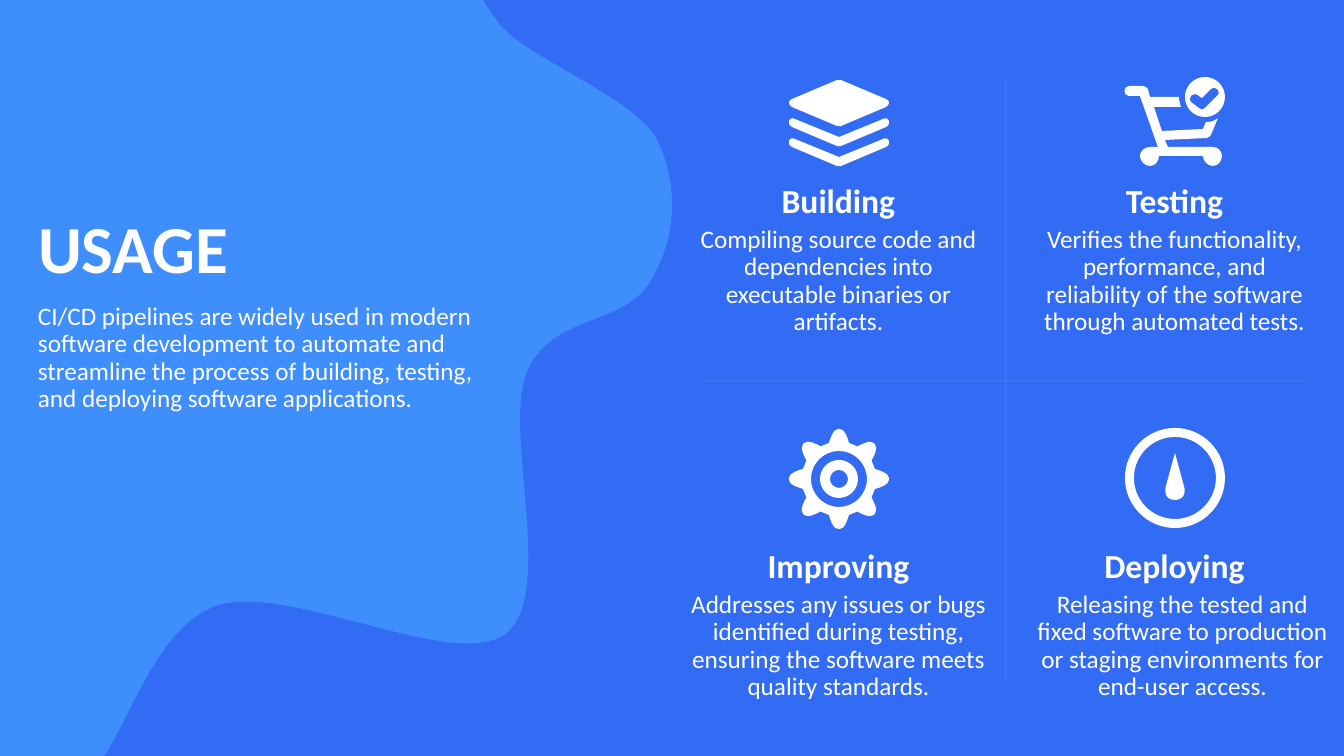
from dataclasses import dataclass
from math import cos, pi, sin

from lxml import etree
from pptx import Presentation
from pptx import util as u
from pptx.dml.color import RGBColor
from pptx.enum import shapes, text
from pptx.oxml.ns import qn


@dataclass(frozen=True)
class Theme:
    back: RGBColor = RGBColor(0x32, 0x6C, 0xF4)
    wave: RGBColor = RGBColor(0x3E, 0x8E, 0xFD)
    ink: RGBColor = RGBColor(0xFF, 0xFF, 0xFF)
    font: str = "Calibri"
    title: int = 48
    head: int = 24
    body: int = 18
    rule: float = 0.5
    alpha: int = 16  # percent


THEME = Theme()
PX = 914400 / 100.8
WIDE, HIGH = 1344, 756

TITLE = ("USAGE", (28, 117, 407, 270))
INTRO = ("CI/CD pipelines are widely used in modern software development to "
         "automate and streamline the process of building, testing, and "
         "deploying software applications.", (28, 299, 462, 169))

# heading, text, column, row, left and width of the text
STEPS = [
    ("Building", "Compiling source code and dependencies into executable "
     "binaries or artifacts.", 0, 0, 687, 303),
    ("Testing", "Verifies the functionality, performance, and reliability of "
     "the software through automated tests.", 1, 0, 1023, 303),
    ("Improving", "Addresses any issues or bugs identified during testing, "
     "ensuring the software meets quality standards.", 0, 1, 679, 319),
    ("Deploying", "Releasing the tested and fixed software to production or "
     "staging environments for end-user access.", 1, 1, 1023, 319),
]
COLS, ROWS = (690, 1026), (180, 545)
HEAD_W, HEAD_H, TEXT_H, DROP = 297, 45, 124, 42
RULES = [(704, 381, 1308, 381), (1006, 79, 1006, 683)]

WAVE = ("L 483 0 L 0 0 L 0 756 L 104 756 L 108 750 C 136 703 162 625 216 606 "
        "C 286 581 454 672 505 634 C 557 595 502 430 527 372 "
        "C 551 313 625 327 651 280 C 678 235 678 183 657 140 "
        "C 635 98 531 60 501 26 C 494 17 488 8 483 0")
SHEET = ("L 886 107 L 841 126 L 837 126 L 792 107 "
         "C 788 105 788 100 792 99 L 837 80 L 841 80 L 886 99 "
         "C 890 100 890 105 886 107")
FOLD = ("L 886 127 L 841 146 L 837 146 L 792 127 "
        "C 786 124 789 116 795 119 L 839 137 L 883 119 "
        "C 889 116 892 124 886 127")
FOLD_GAP = 20
CART = ("L 1162 131 L 1203 129 L 1206 122 C 1211 122 1215 121 1218 118 "
        "L 1211 135 C 1210 136 1208 138 1207 138 L 1165 140 L 1168 147 "
        "L 1213 147 C 1218 147 1222 151 1222 156 C 1222 161 1218 166 1213 166 "
        "C 1208 166 1203 161 1203 156 L 1159 156 C 1159 161 1155 166 1150 166 "
        "C 1145 166 1140 161 1140 156 C 1140 151 1145 147 1150 147 L 1158 147 "
        "L 1140 96 L 1129 96 C 1123 96 1123 86 1129 86 L 1143 86 "
        "C 1145 86 1147 88 1148 89 L 1150 97 L 1179 97 "
        "C 1179 100 1180 104 1181 107 L 1154 107")
CHECK = ("L 1211 89 L 1202 98 L 1199 96 C 1194 91 1187 97 1191 102 "
         "L 1199 108 C 1201 110 1203 110 1205 108 L 1217 96 "
         "C 1222 92 1216 85 1211 89")
BADGE = (1205, 97)
TOOTH = "L -10 -36 C -9 -39 -6 -50 -1 -50 L 1 -50 C 6 -50 9 -40 10 -36"
GEAR, TEETH = (839, 479), 8
ARC = "C 1 0.55 0.55 1 0 1"
DROPLET = ("L 1175 500 C 1162 500 1166 486 1166 486 L 1175 453 L 1184 486 "
           "C 1188 500 1175 500 1175 500")
DIAL = (1175, 478)


def trace(path, down=0):
    """Split a path into steps of one point (line) or three (curve)."""
    steps = []
    for step in path.replace("L", "|").replace("C", "|").split("|")[1:]:
        nums = [float(n) for n in step.split()]
        steps.append([(x, y + down) for x, y in zip(nums[::2], nums[1::2])])
    return steps


def spin(path, mid, count, size=1):
    """Repeat a path in equal turns round a centre."""
    turns = [2 * pi * k / count for k in range(count)]
    return [[(mid[0] + size * (x * cos(a) - y * sin(a)),
              mid[1] + size * (x * sin(a) + y * cos(a))) for x, y in step]
            for a in turns for step in trace(path)]


def ring(mid, rad):
    return [[(mid[0] + rad, mid[1])]] + spin(ARC, mid, 4, rad)


def draw(slide, loops, color):
    """Draw closed loops as one outline; inner loops are holes."""
    loops = [[[(x * PX, y * PX) for x, y in step] for step in loop] for loop in loops]
    pen = slide.shapes.build_freeform(*loops[0][0][0], scale=1.0)
    for k, (start, *rest) in enumerate(loops):
        if k:
            pen.move_to(*start[0])
        pen.add_line_segments([p for step in rest for p in step], close=True)
    shape = pen.convert_to_shape()
    lines = iter(list(shape.element.iter(qn("a:lnTo"))))
    for step in (s for loop in loops for s in loop[1:]):
        parts = [next(lines) for _ in step]
        if len(parts) == 3:
            curve = etree.Element(qn("a:cubicBezTo"))
            parts[0].addprevious(curve)
            for part in parts:
                curve.append(part[0])
                part.getparent().remove(part)
    shape.shadow.inherit = False
    shape.fill.solid()
    shape.fill.fore_color.rgb = color
    shape.line.fill.background()


def rule(slide, ends):
    line = slide.shapes.add_connector(
        shapes.MSO_CONNECTOR.STRAIGHT, *(u.Emu(round(n * PX)) for n in ends))
    line.line.width = u.Pt(THEME.rule)
    line.line.color.rgb = THEME.ink
    props = line.element.spPr
    tint = next(props.iter(qn("a:srgbClr")))
    etree.SubElement(tint, qn("a:alpha"), val=str(THEME.alpha * 1000))
    etree.SubElement(props, qn("a:effectLst"))


def write(box, words, place, size, bold=False, align=text.PP_ALIGN.CENTER,
          anchor=text.MSO_ANCHOR.TOP):
    box.left, box.top, box.width, box.height = (u.Emu(round(n * PX)) for n in place)
    frame = box.text_frame
    frame.word_wrap = True
    frame.auto_size = text.MSO_AUTO_SIZE.NONE
    frame.vertical_anchor = anchor
    frame.text = words
    para = frame.paragraphs[0]
    para.alignment = align
    para.line_spacing = 0.9
    font = para.font
    font.name, font.size, font.bold = THEME.font, u.Pt(size), bold
    font.color.rgb = THEME.ink


def main():
    deck = Presentation()
    deck.slide_width, deck.slide_height = (u.Emu(round(n * PX)) for n in (WIDE, HIGH))
    slide = deck.slides.add_slide(deck.slide_layouts[5])
    slide.background.fill.solid()
    slide.background.fill.fore_color.rgb = THEME.back

    draw(slide, [trace(WAVE)], THEME.wave)
    for ends in RULES:
        rule(slide, ends)

    def label(*args, **opts):
        write(slide.shapes.add_textbox(0, 0, 0, 0), *args, **opts)

    title = slide.shapes.title
    title.element.getparent().append(title.element)  # in front of the wave
    write(title, *TITLE, THEME.title, bold=True, align=text.PP_ALIGN.LEFT,
          anchor=text.MSO_ANCHOR.MIDDLE)
    label(*INTRO, THEME.body, align=text.PP_ALIGN.LEFT)
    for head, words, col, row, left, wide in STEPS:
        top = ROWS[row]
        label(head, (COLS[col], top, HEAD_W, HEAD_H), THEME.head, bold=True)
        label(words, (left, top + DROP, wide, TEXT_H), THEME.body)

    icons = [
        [trace(SHEET), trace(FOLD), trace(FOLD, FOLD_GAP)],
        [ring(BADGE, 20), trace(CHECK), trace(CART)],
        [spin(TOOTH, GEAR, TEETH)] + [ring(GEAR, r) for r in (28, 19, 9)],
        [ring(DIAL, r) for r in (50, 41)] + [trace(DROPLET)],
    ]
    for loops in icons:
        draw(slide, loops, THEME.ink)
    deck.save("out.pptx")


if __name__ == "__main__":
    main()
